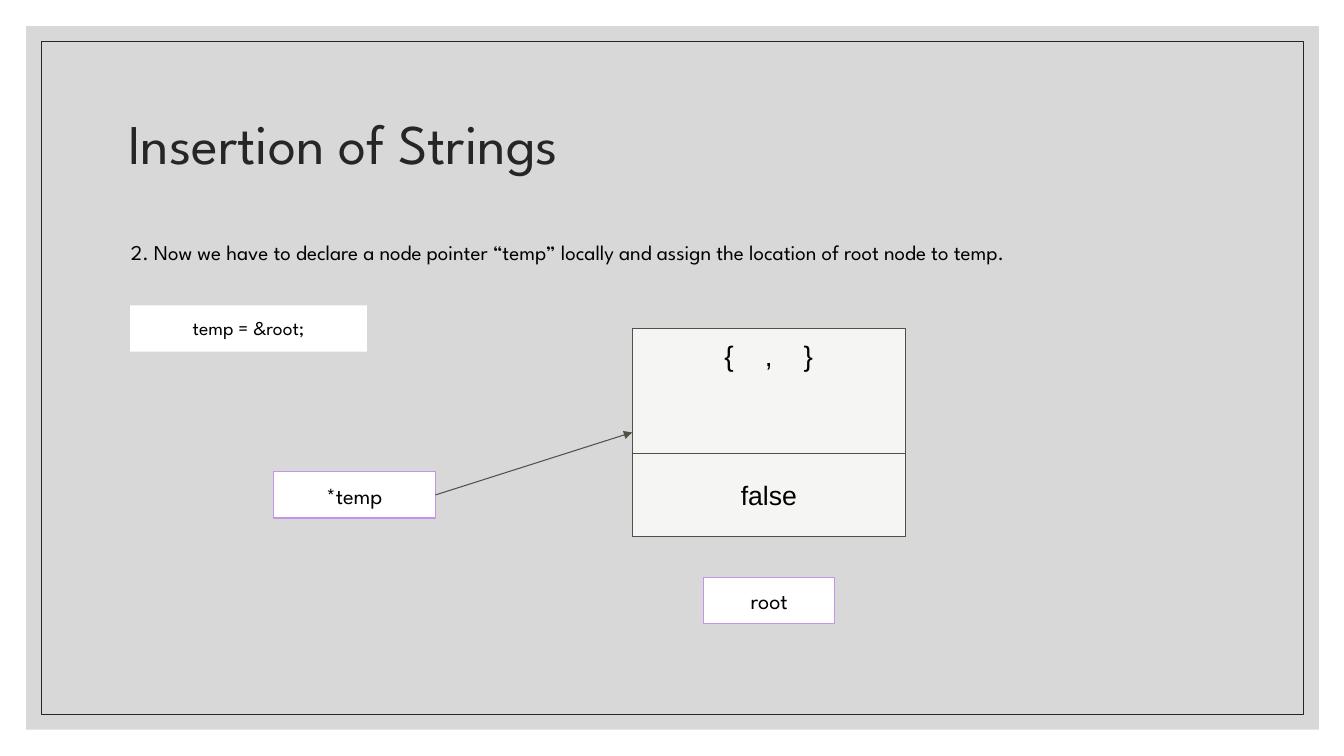
from lxml.etree import SubElement
from pptx import Presentation
from pptx.dml.color import RGBColor
from pptx.enum.shapes import MSO_CONNECTOR, MSO_SHAPE
from pptx.enum.text import MSO_ANCHOR as Anchor, PP_ALIGN as Align
from pptx.oxml.ns import qn
from pptx.util import Inches, Pt

WHITE = RGBColor(0xFF, 0xFF, 0xFF)
BLACK = RGBColor(0, 0, 0)
CHARCOAL = RGBColor(0x26, 0x26, 0x26)
GRAY = RGBColor(0xBF, 0xBF, 0xBF)
NODE_FILL = RGBColor(0xF5, 0xF6, 0xF4)
NODE_LINE = RGBColor(0x50, 0x50, 0x46)
PURPLE = RGBColor(0xC7, 0x92, 0xEA)

SPARTAN = "League Spartan"
LABEL_HEIGHT = 0.46
NODE_LEFT, NODE_WIDTH = 6.27, 2.71


def write_text(shape, text, size, font=SPARTAN, color=BLACK, align=Align.CENTER,
               anchor=Anchor.TOP, margin_y=0.1, line_spacing=None, tracking=None):
    """Fill the shape with one formatted paragraph; tracking is in points."""
    frame = shape.text_frame
    frame.word_wrap = True
    frame.vertical_anchor = anchor
    frame.margin_left = frame.margin_right = Inches(0.1)
    frame.margin_top = frame.margin_bottom = Inches(margin_y)
    paragraph = frame.paragraphs[0]
    paragraph.alignment = align
    paragraph.line_spacing = line_spacing
    run = paragraph.add_run()
    run.text = text
    run.font.name = font
    run.font.size = Pt(size)
    run.font.color.rgb = color
    if tracking:
        run.font._element.set("spc", str(round(tracking * 100)))
    return paragraph


def add_box(slide, left, top, width, height, fill=None, line=None):
    box = slide.shapes.add_shape(MSO_SHAPE.RECTANGLE, Inches(left), Inches(top),
                                 Inches(width), Inches(height))
    box.shadow.inherit = False
    if fill is None:
        box.fill.background()
    else:
        box.fill.solid()
        box.fill.fore_color.rgb = fill
    if line is None:
        box.line.fill.background()
    else:
        box.line.color.rgb = line
        box.line.width = Pt(0.75)
    return box


def add_label(slide, text, left, top, width, size=16, line=PURPLE):
    label = add_box(slide, left, top, width, LABEL_HEIGHT, WHITE, line)
    write_text(label, text, size)
    return label


def add_frame(slide):
    panel = add_box(slide, 0.26, 0.26, 12.82, 6.98, GRAY)
    color = panel.fill._xPr.find(qn("a:solidFill"))[0]
    SubElement(color, qn("a:alpha"), val="60000")
    add_box(slide, 0.41, 0.41, 12.52, 6.68, line=CHARCOAL)


def add_title(slide, text):
    title = slide.shapes.title
    title.left, title.top = Inches(1.17), Inches(0.7)
    title.width, title.height = Inches(11), Inches(1.5)
    write_text(title, text, 40, color=CHARCOAL, align=Align.LEFT,
               anchor=Anchor.MIDDLE, margin_y=0.05, line_spacing=0.9)


def add_step(slide, text):
    step = slide.shapes.add_textbox(Inches(1.2), Inches(2.3), Inches(11.41), Inches(0.5))
    paragraph = write_text(step, text, 15, align=Align.LEFT, margin_y=0.05,
                           line_spacing=1.1)
    paragraph.space_before = Pt(9)


def add_root_node(slide):
    node = add_box(slide, NODE_LEFT, 3.26, NODE_WIDTH, 2.06, NODE_FILL, NODE_LINE)
    write_text(node, "{ , }", 20, font="Arial", tracking=8.3)
    end_flag = add_box(slide, NODE_LEFT, 4.5, NODE_WIDTH, 0.82, NODE_FILL, NODE_LINE)
    write_text(end_flag, "false", 19, font="Arial", anchor=Anchor.MIDDLE)
    return node


def add_pointer(slide, source, target):
    """Draw an arrow from the right side of source to the left side of target."""
    arrow = slide.shapes.add_connector(MSO_CONNECTOR.STRAIGHT, 0, 0, 0, 0)
    arrow.begin_connect(source, 3)
    arrow.end_connect(target, 1)
    arrow.line.color.rgb = NODE_LINE
    arrow.line.width = Pt(0.75)
    SubElement(arrow.line._get_or_add_ln(), qn("a:tailEnd"), type="triangle")
    SubElement(arrow._element.spPr, qn("a:effectLst"))


def main():
    deck = Presentation()
    deck.slide_width, deck.slide_height = Inches(13.33), Inches(7.5)
    slide = deck.slides.add_slide(deck.slide_layouts[5])

    add_frame(slide)
    title = slide.shapes.title._element
    title.getparent().append(title)  # bring the title in front of the panel
    add_title(slide, "Insertion of Strings")
    add_step(slide, "2. Now we have to declare a node pointer “temp” locally "
                    "and assign the location of root node to temp.")
    root_node = add_root_node(slide)
    temp = add_label(slide, "*temp", 2.71, 4.68, 1.61)
    add_label(slide, "root", 6.98, 5.73, 1.3)
    add_pointer(slide, temp, root_node)
    add_label(slide, "temp = &root;", 1.29, 3.03, 2.35, size=14, line=None)
    deck.save("out.pptx")


if __name__ == "__main__":
    main()
